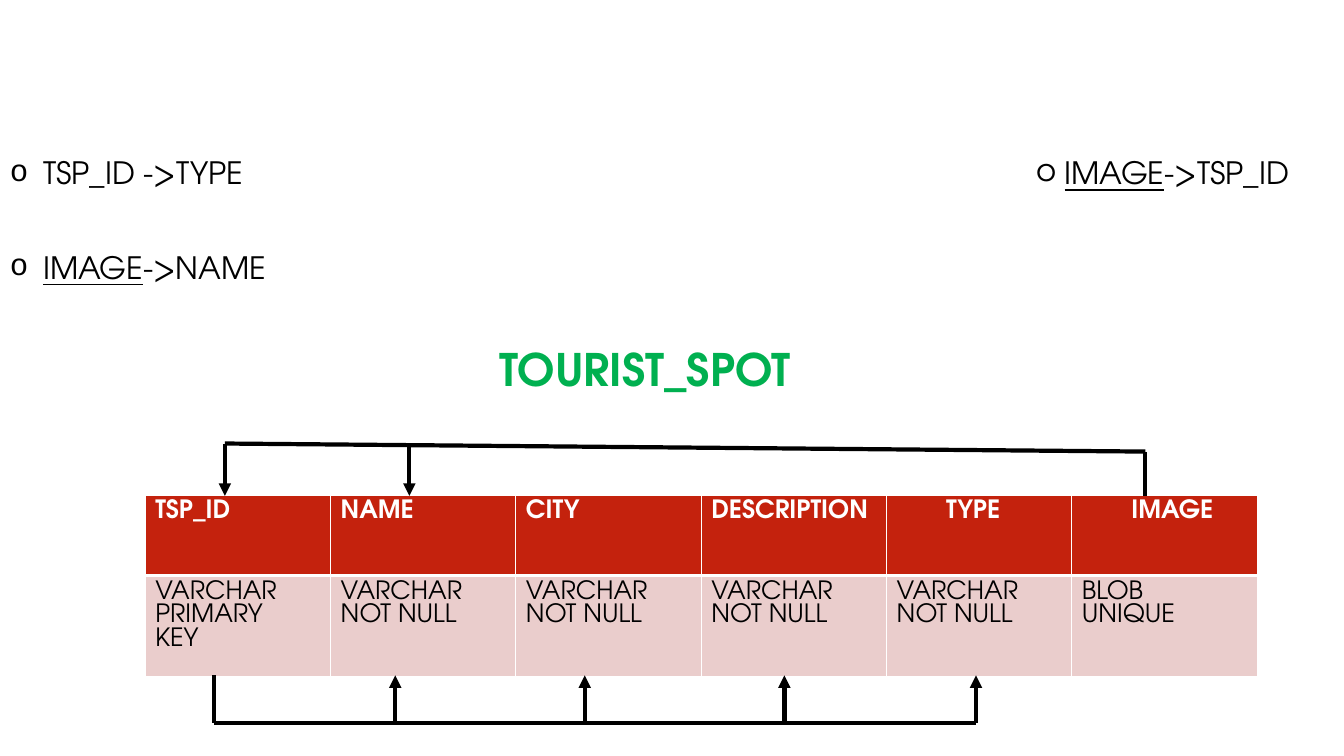
from pptx import Presentation
from pptx.dml.color import RGBColor
from pptx.enum.shapes import MSO_CONNECTOR as Connector
from pptx.enum.text import PP_ALIGN as Align
from pptx.oxml.ns import qn
from pptx.util import Inches, Pt
from lxml.etree import SubElement

FONT = "TeX Gyre Adventor"
COLORS = {"black": "000000", "white": "FFFFFF", "green": "00B050",
          "header": "C4220D", "body": "EACDCC"}
STYLES = {
    "list": {"name": FONT, "size": Pt(22), "bold": False},
    "title": {"name": FONT, "size": Pt(32), "bold": True},
    "header": {"name": FONT, "size": Pt(18), "bold": True},
    "body": {"name": FONT, "size": Pt(18), "bold": False},
}
BORDERS = {
    "header": {"a:lnL": 1, "a:lnR": 1, "a:lnT": 1, "a:lnB": 3},
    "body": {"a:lnL": 1, "a:lnR": 1, "a:lnT": 3, "a:lnB": 1},
}
COLUMNS = [
    ("TSP_ID", ["VARCHAR", "PRIMARY", "KEY"], 0),
    ("NAME", ["VARCHAR", "NOT NULL"], 0),
    ("CITY", ["VARCHAR", "NOT NULL"], 0),
    ("DESCRIPTION", ["VARCHAR", "NOT NULL"], 0),
    ("TYPE", ["VARCHAR", "NOT NULL"], 0.49),
    ("IMAGE", ["BLOB", "UNIQUE"], 0.49),
]


def rgb(name):
    """Return the named colour."""
    return RGBColor.from_string(COLORS[name])


def set_font(font, style, color):
    """Apply a named text style and colour to a font."""
    for attribute, value in STYLES[style].items():
        setattr(font, attribute, value)
    font.color.rgb = rgb(color)


def add_text_frame(slide, box):
    """Add a wrapping text box and return its frame."""
    frame = slide.shapes.add_textbox(*map(Inches, box)).text_frame
    frame.word_wrap = True
    return frame


def add_dependencies(slide, box, items, indent, bullet_font):
    """List functional dependencies with hollow round bullets."""
    frame = add_text_frame(slide, box)
    for index, (key, target, underlined) in enumerate(items):
        paragraph = frame.add_paragraph() if index else frame.paragraphs[0]
        properties = paragraph._p.get_or_add_pPr()
        properties.set("marL", str(Inches(indent)))
        properties.set("indent", str(-Inches(indent)))
        paragraph.line_spacing = 0.9
        if index:
            paragraph.space_before = Pt(44)
        SubElement(properties, qn("a:buFont"), typeface=bullet_font)
        SubElement(properties, qn("a:buChar"), char="o")
        for text, underline in ((key, underlined), (target, False)):
            run = paragraph.add_run()
            run.text = text
            set_font(run.font, "list", "black")
            run.font.underline = underline


def add_title(slide, box, text):
    """Add the centred name of the relation."""
    paragraph = add_text_frame(slide, box).paragraphs[0]
    paragraph.text = text
    paragraph.alignment = Align.CENTER
    paragraph.line_spacing = 0.9
    set_font(paragraph.font, "title", "green")


def set_borders(cell, style):
    """Give a table cell its white borders."""
    properties = cell._tc.get_or_add_tcPr()
    for side, width in BORDERS[style].items():
        line = SubElement(properties, qn(side), w=str(Pt(width)))
        fill = SubElement(line, qn("a:solidFill"))
        SubElement(fill, qn("a:srgbClr"), val=COLORS["white"])


def fill_cell(cell, lines, style, color, indent=0):
    """Fill a table cell with one paragraph per line."""
    set_borders(cell, style)
    cell.fill.solid()
    cell.fill.fore_color.rgb = rgb(style)
    cell.text = "\n".join(lines)
    for paragraph in cell.text_frame.paragraphs:
        if indent:
            paragraph._p.get_or_add_pPr().set("marL", str(Inches(indent)))
        set_font(paragraph.font, style, color)


def add_schema(slide, box):
    """Add the table of attributes and their constraints."""
    table = slide.shapes.add_table(2, len(COLUMNS), *map(Inches, box)).table
    for index, (name, constraints, indent) in enumerate(COLUMNS):
        fill_cell(table.cell(0, index), [name], "header", "white", indent)
        fill_cell(table.cell(1, index), constraints, "body", "black")


def add_line(slide, start, end, arrow=False):
    """Draw a thick black line, with an arrowhead at its end if asked."""
    connector = slide.shapes.add_connector(
        Connector.STRAIGHT, *map(Inches, (*start, *end)))
    connector.line.color.rgb = rgb("black")
    connector.line.width = Pt(3)
    if arrow:
        SubElement(connector.line._get_or_add_ln(), qn("a:tailEnd"), type="triangle")
    SubElement(connector._element.spPr, qn("a:effectLst"))


def add_image_links(slide, box):
    """Link IMAGE to TSP_ID and NAME above the table."""
    left, top, width, height = box
    right, bottom = left + width, top + height
    add_line(slide, (right, bottom), (right, top + 0.08))
    add_line(slide, (right, top + 0.08), (left, top))
    for offset, drop in ((0, 0), (1.83, 0.03)):
        add_line(slide, (left + offset, top + drop), (left + offset, bottom), True)


def add_key_links(slide, box):
    """Link TSP_ID to the attributes it determines below the table."""
    left, top, width, height = box
    bottom = top + height
    add_line(slide, (left, top), (left, bottom))
    add_line(slide, (left, bottom), (left + width, bottom))
    for offset in (1.8, 3.68, 5.66, width):
        add_line(slide, (left + offset, bottom), (left + offset, top), True)


def main():
    """Build the slide and save it."""
    presentation = Presentation()
    presentation.slide_width = Inches(13.33)
    presentation.slide_height = Inches(7.5)
    slide = presentation.slides.add_slide(presentation.slide_layouts[6])
    add_dependencies(slide, (0, 1.52, 6, 1.4),
                     [("TSP_ID", " ->TYPE", False), ("IMAGE", "->NAME", True)],
                     0.33, "Courier New")
    add_dependencies(slide, (10.18, 1.52, 3.1, 0.5),
                     [("IMAGE", "->TSP_ID", True)], 0.28, FONT)
    add_title(slide, (4.2, 3.4, 4.4, 0.6), "TOURIST_SPOT")
    add_schema(slide, (1.44, 4.91, 11.03, 1.6))
    add_image_links(slide, (2.23, 4.4, 9.13, 0.52))
    add_key_links(slide, (2.12, 6.7, 7.56, 0.47))
    presentation.save("out.pptx")


if __name__ == "__main__":
    main()
